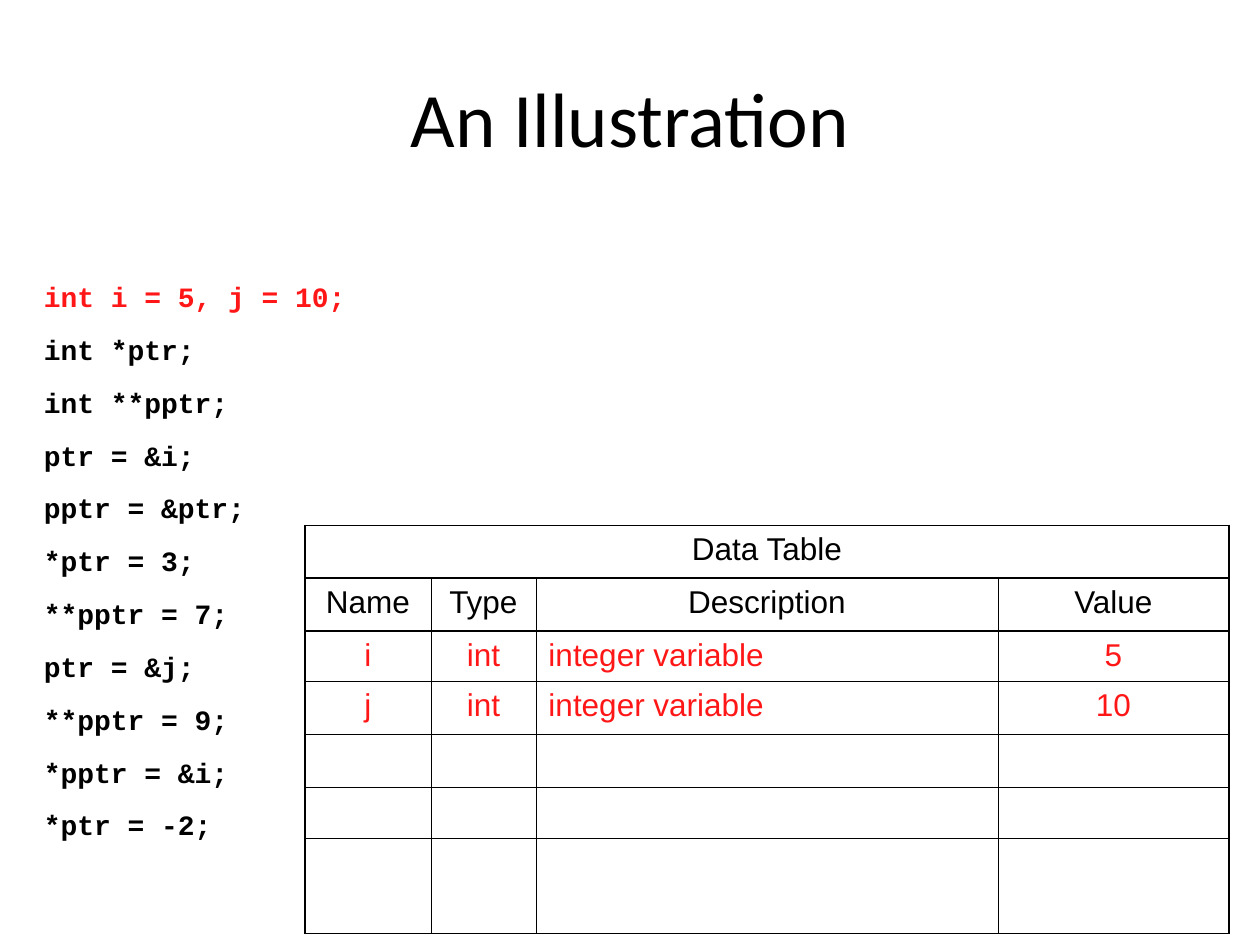
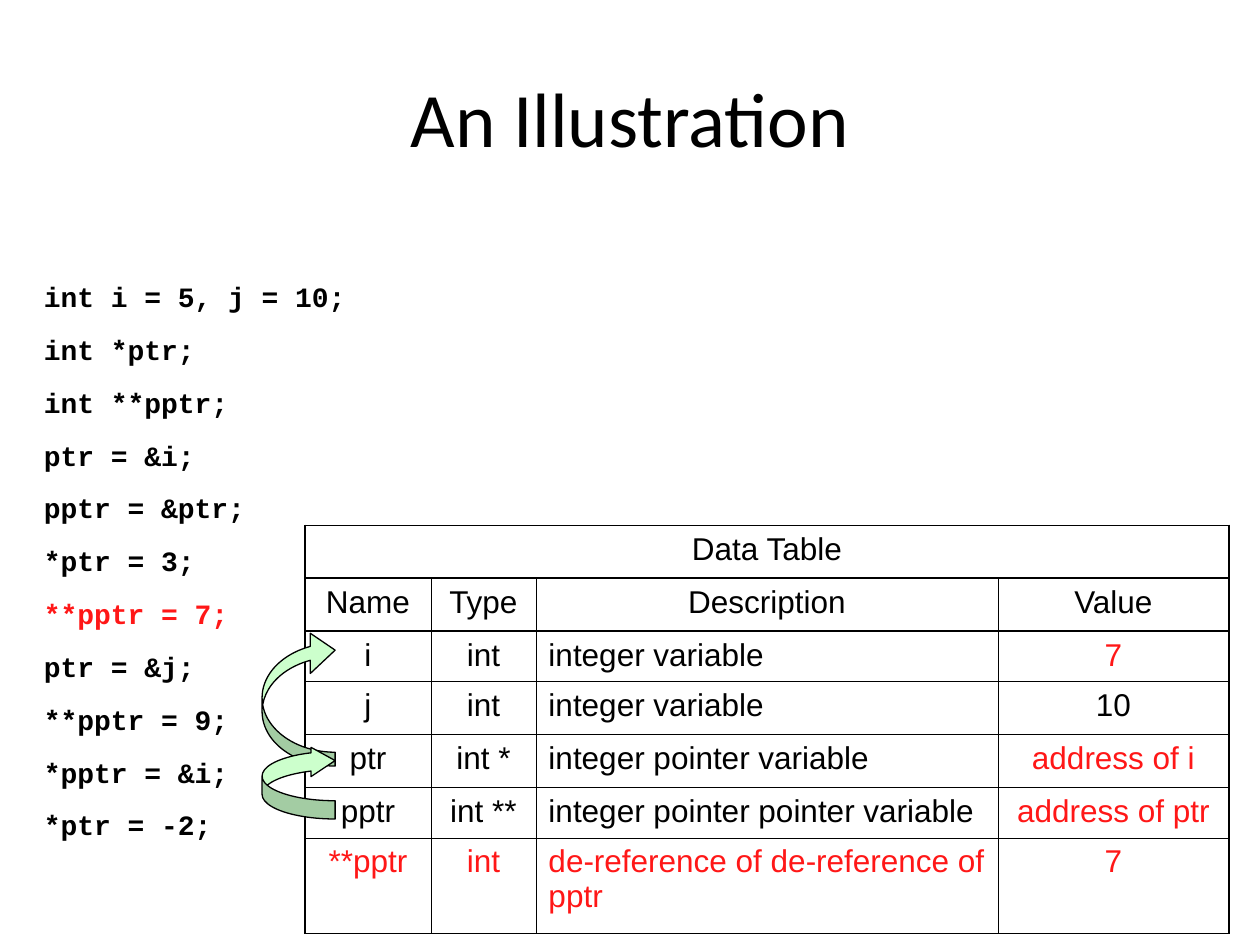
import dataclasses
import pptx
import pptx.dml.color
import pptx.enum.shapes
import pptx.enum.text
import pptx.oxml.ns
import pptx.util
from lxml import etree

Inches = pptx.util.Inches
Pt = pptx.util.Pt
ALIGN = pptx.enum.text.PP_ALIGN
ANCHOR = pptx.enum.text.MSO_ANCHOR


def color(value):
    return pptx.dml.color.RGBColor.from_string(value)


@dataclasses.dataclass(frozen=True)
class Theme:
    ink: str = "000000"
    highlight: str = "FF1717"
    arrow: str = "CCFFCC"
    thin: float = 0.45
    thick: float = 1.08
    title: tuple = (("name", "Calibri"), ("size", Pt(44)), ("bold", False))
    code: tuple = (("name", "Courier New"), ("size", Pt(16)), ("bold", True))
    cell: tuple = (("name", "Arial"), ("size", Pt(18)), ("bold", False))


THEME = Theme()
UNIT = 1 / 6
TITLE_BOX = (0.5, 0.3, 9, 1.25)
CODE_BOX = (0.25, 2.17, 9.33, 4.42)
TABLE_BOX = (2.42, 4.17, 44 * UNIT, 3.23)
COLUMN_UNITS = (6, 5, 22, 11)
ROW_HEIGHTS = (0.42, 0.42, 0.4, 0.42, 0.42, 0.4, 0.76)
DESCRIPTION = 2

CODE_LINES = (
    "int i = 5, j = 10;",
    "int *ptr;",
    "int **pptr;",
    "ptr = &i;",
    "pptr = &ptr;",
    "*ptr = 3;",
    "**pptr = 7;",
    "ptr = &j;",
    "**pptr = 9;",
    "*pptr = &i;",
    "*ptr = -2;",
)
HEADER = [("Data Table", "", "", ""), ("Name", "Type", "Description", "Value")]
BLANK = ("", "", "", "")

STEPS = (
    {
        "current_line": 0,
        "variables": [
            ("i", "int", "integer variable", "5"),
            ("j", "int", "integer variable", "10"),
            BLANK,
            BLANK,
            BLANK,
        ],
        "changed": {(row, column) for row in (2, 3) for column in range(4)},
        "arrows": (),
    },
    {
        "current_line": 6,
        "variables": [
            ("i", "int", "integer variable", "7"),
            ("j", "int", "integer variable", "10"),
            ("ptr", "int *", "integer pointer variable", "address of i"),
            ("pptr", "int **", "integer pointer pointer variable", "address of ptr"),
            ("**pptr", "int", "de-reference of de-reference of pptr", "7"),
        ],
        "changed": {(2, 3), (4, 3), (5, 3)} | {(6, column) for column in range(4)},
        "arrows": (
            ((2.08, 5, 0.58, 1.08), (0.19, 0.55, 0.34)),
            ((2.08, 5.92, 0.58, 0.58), (0.25, 0.4, 0.33)),
        ),
    },
)


def apply(target, values):
    for name, value in dict(values).items():
        setattr(target, name, value)


def write(para, text, style, highlighted=False):
    span = para.add_run()
    span.text = text
    apply(span.font, style)
    span.font.color.rgb = color(THEME.highlight if highlighted else THEME.ink)


def place_title(page, box):
    title = page.shapes.title
    apply(title, zip(("left", "top", "width", "height"), map(Inches, box)))
    title.text_frame.vertical_anchor = ANCHOR.MIDDLE
    para = title.text_frame.paragraphs[0]
    para.alignment = ALIGN.CENTER
    write(para, "An Illustration", THEME.title)


def place_code(page, box, current_line):
    frame = page.shapes.add_textbox(*map(Inches, box)).text_frame
    frame.word_wrap = True
    for index, line in enumerate(CODE_LINES):
        para = frame.add_paragraph() if index else frame.paragraphs[0]
        para.space_before = Pt(11 if index else 0)
        write(para, line, THEME.code, index == current_line)


def draw_borders(cell, row, column):
    last_row, last_column = len(ROW_HEIGHTS) - 1, len(COLUMN_UNITS) - 1
    heavy = {
        "lnL": column == 0,
        "lnR": column == last_column or row == 0,
        "lnT": row <= 2,
        "lnB": row < 2 or row == last_row,
    }
    qn = pptx.oxml.ns.qn
    properties = cell._tc.get_or_add_tcPr()
    for side, is_heavy in heavy.items():
        width = Pt(THEME.thick if is_heavy else THEME.thin)
        line = etree.SubElement(properties, qn(f"a:{side}"), w=str(int(width)))
        fill = etree.SubElement(line, qn("a:solidFill"))
        etree.SubElement(fill, qn("a:srgbClr"), val=THEME.ink)


def place_data_table(page, box, variables, changed):
    rows = HEADER + variables
    table = page.shapes.add_table(len(rows), len(COLUMN_UNITS), *map(Inches, box)).table
    apply(table, {"first_row": False, "horz_banding": False})
    for column, units in zip(table.columns, COLUMN_UNITS):
        column.width = Inches(units * UNIT)
    for row, height in zip(table.rows, ROW_HEIGHTS):
        row.height = Inches(height)
    table.cell(0, 0).merge(table.cell(0, len(COLUMN_UNITS) - 1))
    for row, texts in enumerate(rows):
        for column, text in enumerate(texts):
            cell = table.cell(row, column)
            draw_borders(cell, row, column)
            cell.fill.background()
            para = cell.text_frame.paragraphs[0]
            is_prose = column == DESCRIPTION and row > 1
            para.alignment = ALIGN.LEFT if is_prose else ALIGN.CENTER
            if text:
                write(para, text, THEME.cell, (row, column) in changed)


def place_pointer_arrow(page, box, proportions):
    kind = pptx.enum.shapes.MSO_SHAPE.CURVED_LEFT_ARROW
    arrow = page.shapes.add_shape(kind, *map(Inches, box))
    arrow.rotation = 180
    arrow.shadow.inherit = False
    for index, share in enumerate(proportions):
        arrow.adjustments[index] = share
    arrow.fill.solid()
    arrow.fill.fore_color.rgb = color(THEME.arrow)
    arrow.line.color.rgb = color(THEME.ink)
    arrow.line.width = Pt(0.75)


def build_step(deck, step):
    page = deck.slides.add_slide(deck.slide_layouts.get_by_name("Title Only"))
    place_title(page, TITLE_BOX)
    place_code(page, CODE_BOX, step["current_line"])
    place_data_table(page, TABLE_BOX, step["variables"], step["changed"])
    for box, proportions in step["arrows"]:
        place_pointer_arrow(page, box, proportions)


def main():
    deck = pptx.Presentation()
    apply(deck, {"slide_width": Inches(10), "slide_height": Inches(7.5)})
    for step in STEPS:
        build_step(deck, step)
    deck.save("out.pptx")


if __name__ == "__main__":
    main()
